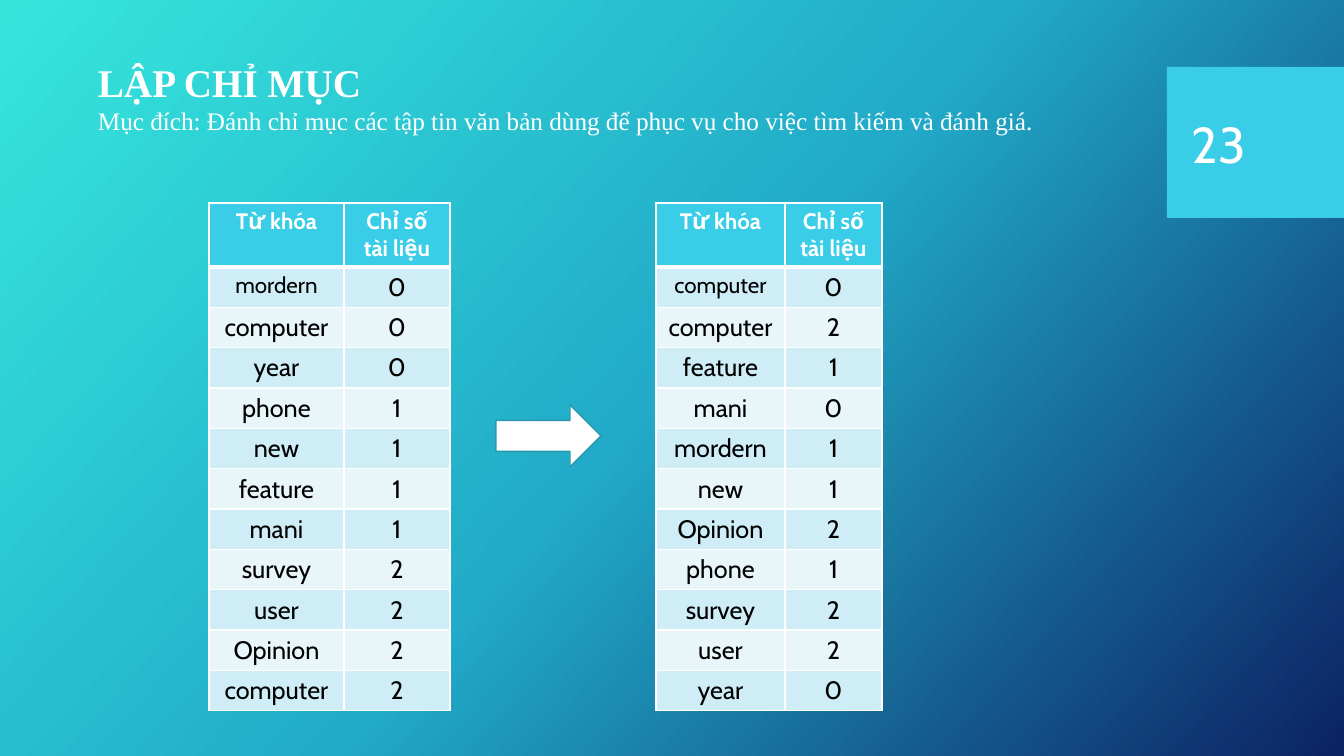
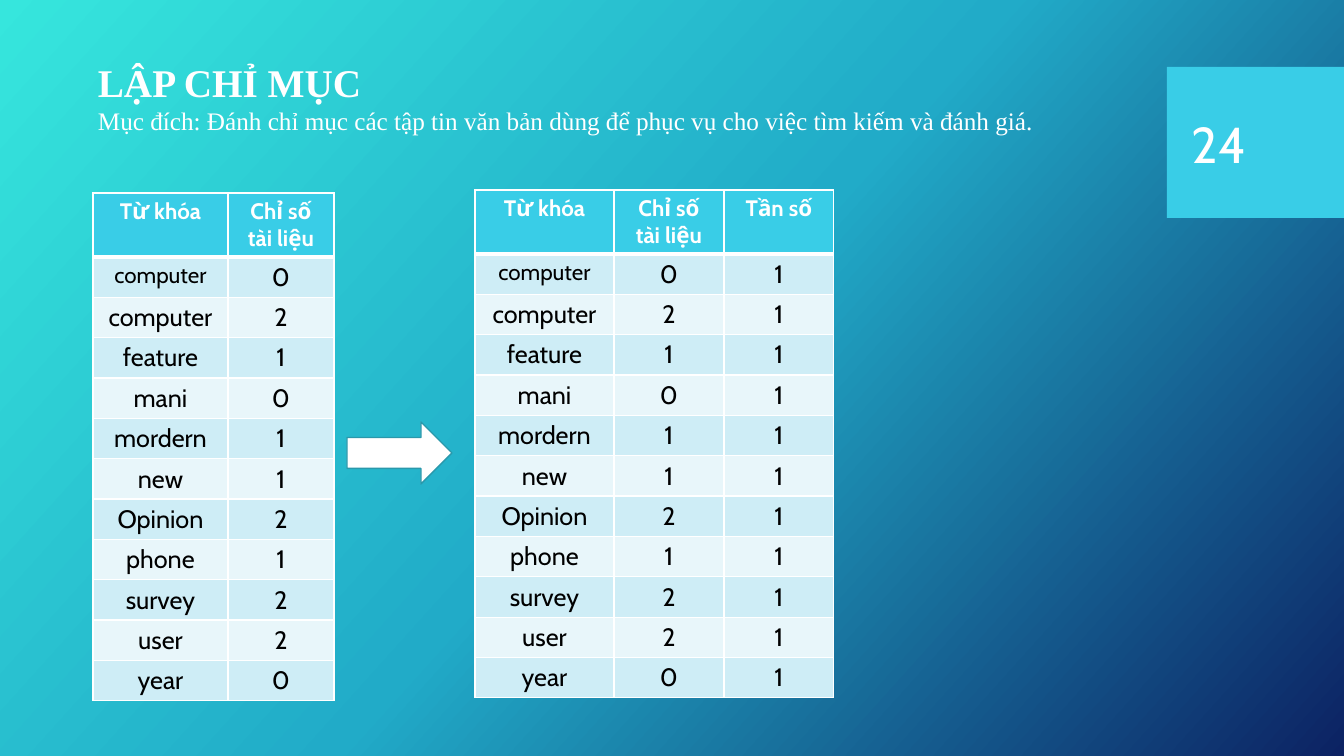
import copy

import pptx
import pptx.dml.color
import pptx.enum.shapes
import pptx.enum.text
import pptx.oxml
import pptx.oxml.ns
import pptx.util

PX = 12700 * 72 / 100.8
COLORS = {
    "white": "FFFFFF",
    "black": "000000",
    "accent": "39CDE7",
    "arrow_edge": "2A98AB",
    "band_dark": "CEEDF6",
    "band_light": "E8F6FA",
}
BACKDROP = [(0, "36E6DD"), (0.5, "21ABC8"), (1, "0C2263")]
BACKDROP_ANGLE = 42
TITLE_FONT, BODY_FONT = "Times New Roman", "Cabin"
HEADER_HEIGHT, ROW_HEIGHT = 63, 40

TITLE = "LẬP CHỈ MỤC"
PURPOSE = ("Mục đích: Đánh chỉ mục các tập tin văn bản dùng để phục vụ "
           "cho việc tìm kiếm và đánh giá.")
INDEX_HEADER = ("Từ khóa", "Chỉ số tài liệu")
UNSORTED = [
    ("mordern", "0"), ("computer", "0"), ("year", "0"), ("phone", "1"),
    ("new", "1"), ("feature", "1"), ("mani", "1"), ("survey", "2"),
    ("user", "2"), ("Opinion", "2"), ("computer", "2"),
]
SORTED = [
    ("computer", "0"), ("computer", "2"), ("feature", "1"), ("mani", "0"),
    ("mordern", "1"), ("new", "1"), ("Opinion", "2"), ("phone", "1"),
    ("survey", "2"), ("user", "2"), ("year", "0"),
]
UNSORTED_INDEX = [INDEX_HEADER] + UNSORTED
SORTED_INDEX = [INDEX_HEADER] + SORTED
FREQUENCY_INDEX = [INDEX_HEADER + ("Tần số",)] + [row + ("1",) for row in SORTED]


def px(length):
    return pptx.util.Emu(round(length * PX))


def rgb(name):
    return pptx.dml.color.RGBColor.from_string(COLORS[name])


def add_span(para, text, size, font, color="white", bold=False):
    span = para.add_run()
    span.text = text
    span.font.size = pptx.util.Pt(size)
    span.font.name = font
    span.font.bold = bold
    span.font.color.rgb = rgb(color)


def add_text_box(page, left, top, width, height):
    box = page.shapes.add_textbox(px(left), px(top), px(width), px(height))
    box.text_frame.word_wrap = True
    return box.text_frame


def add_filled_shape(page, preset, box, fill, edge=None):
    shape = page.shapes.add_shape(preset, *map(px, box))
    shape.shadow.inherit = False
    shape.fill.solid()
    shape.fill.fore_color.rgb = rgb(fill)
    if edge:
        shape.line.color.rgb = rgb(edge)
        shape.line.width = pptx.util.Pt(1)
    else:
        shape.line.fill.background()


def set_backdrop(master):
    """Gives the master, and so every page, the diagonal gradient."""
    fill = master.background.fill
    fill.gradient()
    fill.gradient_angle = 360 - BACKDROP_ANGLE
    stop_list = master.element.xpath(".//p:bgPr//a:gsLst")[0]
    while len(stop_list) < len(BACKDROP):
        stop_list.append(copy.deepcopy(stop_list[0]))
    for stop, (position, color) in zip(fill.gradient_stops, BACKDROP):
        stop.position = position
        stop.color.rgb = pptx.dml.color.RGBColor.from_string(color)


def add_heading(page, left, top, width, height):
    frame = add_text_box(page, left, top, width, height)
    frame.margin_top = px(9)
    add_span(frame.paragraphs[0], TITLE, 28, TITLE_FONT, bold=True)
    add_span(frame.add_paragraph(), PURPOSE, 18, TITLE_FONT)


def add_number_badge(page, number, left, top, width, height):
    add_filled_shape(page, pptx.enum.shapes.MSO_SHAPE.RECTANGLE,
                     (left, top, width, height), "accent")
    frame = add_text_box(page, left + 15, top + 16, width - 50, height - 31)
    frame.vertical_anchor = pptx.enum.text.MSO_ANCHOR.MIDDLE
    add_span(frame.paragraphs[0], str(number), 36, BODY_FONT)


def set_borders(cell, top, bottom):
    """Draws white cell borders; top and bottom are widths in points."""
    properties = cell._tc.get_or_add_tcPr()
    for side, width in (("L", 1), ("R", 1), ("T", top), ("B", bottom)):
        properties.append(pptx.oxml.parse_xml(
            f'<a:ln{side} {pptx.oxml.ns.nsdecls("a")} w="{width * 12700}">'
            f'<a:solidFill><a:srgbClr val="{COLORS["white"]}"/></a:solidFill>'
            f'</a:ln{side}>'))


def style_cell(cell, text, row, column):
    is_header = row == 0
    set_borders(cell, 3 if row == 1 else 1, 3 if is_header else 1)
    band = "band_dark" if row % 2 else "band_light"
    cell.fill.solid()
    cell.fill.fore_color.rgb = rgb("accent" if is_header else band)
    para = cell.text_frame.paragraphs[0]
    para.alignment = pptx.enum.text.PP_ALIGN.CENTER
    size = 16 if is_header or (row, column) == (1, 0) else 18
    add_span(para, text, size, BODY_FONT,
             "white" if is_header else "black", is_header)


def add_index_table(page, rows, left, top, widths):
    height = HEADER_HEIGHT + ROW_HEIGHT * (len(rows) - 1)
    table = page.shapes.add_table(len(rows), len(widths), px(left), px(top),
                                  px(sum(widths)), px(height)).table
    for column, width in zip(table.columns, widths):
        column.width = px(width)
    for r, texts in enumerate(rows):
        table.rows[r].height = px(ROW_HEIGHT if r else HEADER_HEIGHT)
        for c, text in enumerate(texts):
            style_cell(table.cell(r, c), text, r, c)


def add_index_page(deck, number, before, arrow_corner, after):
    """Adds a page where an arrow leads from one index table to the next."""
    page = deck.slides.add_slide(deck.slide_layouts[6])
    add_number_badge(page, number, 1167, 67, 177, 151)
    add_heading(page, 88, 49, 1062, 119)
    add_index_table(page, *before)
    add_filled_shape(page, pptx.enum.shapes.MSO_SHAPE.RIGHT_ARROW,
                     (*arrow_corner, 105, 62), "white", "arrow_edge")
    add_index_table(page, *after)


def main():
    deck = pptx.Presentation()
    deck.slide_width, deck.slide_height = px(1344), px(756)
    set_backdrop(deck.slide_master)
    add_index_page(deck, 23,
                   (UNSORTED_INDEX, 209, 203, (135, 106)),
                   (496, 405),
                   (SORTED_INDEX, 656, 203, (129, 97)))
    add_index_page(deck, 24,
                   (SORTED_INDEX, 93, 193, (135, 106)),
                   (347, 422),
                   (FREQUENCY_INDEX, 475, 190, (139, 110, 110)))
    deck.save("out.pptx")


if __name__ == "__main__":
    main()
